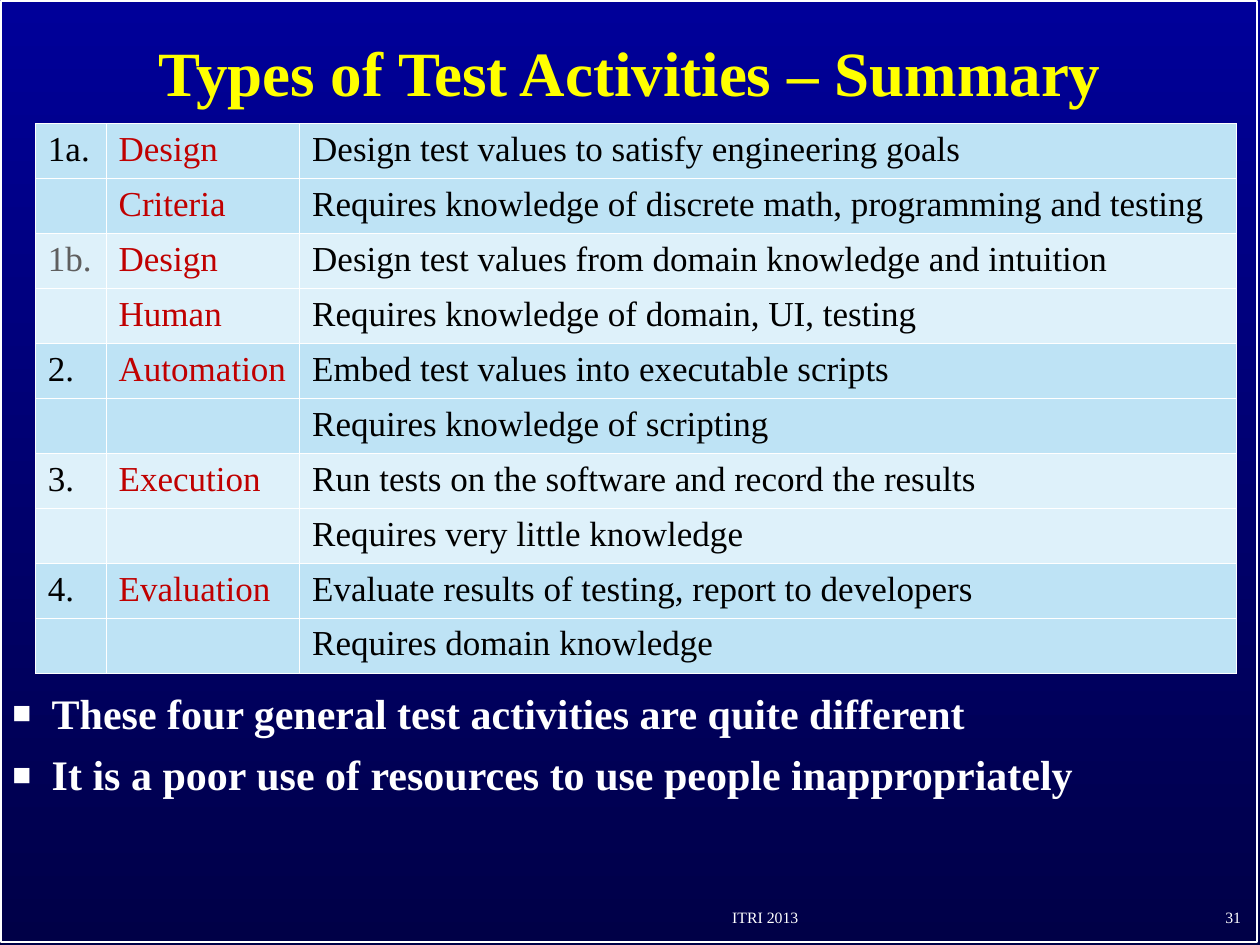
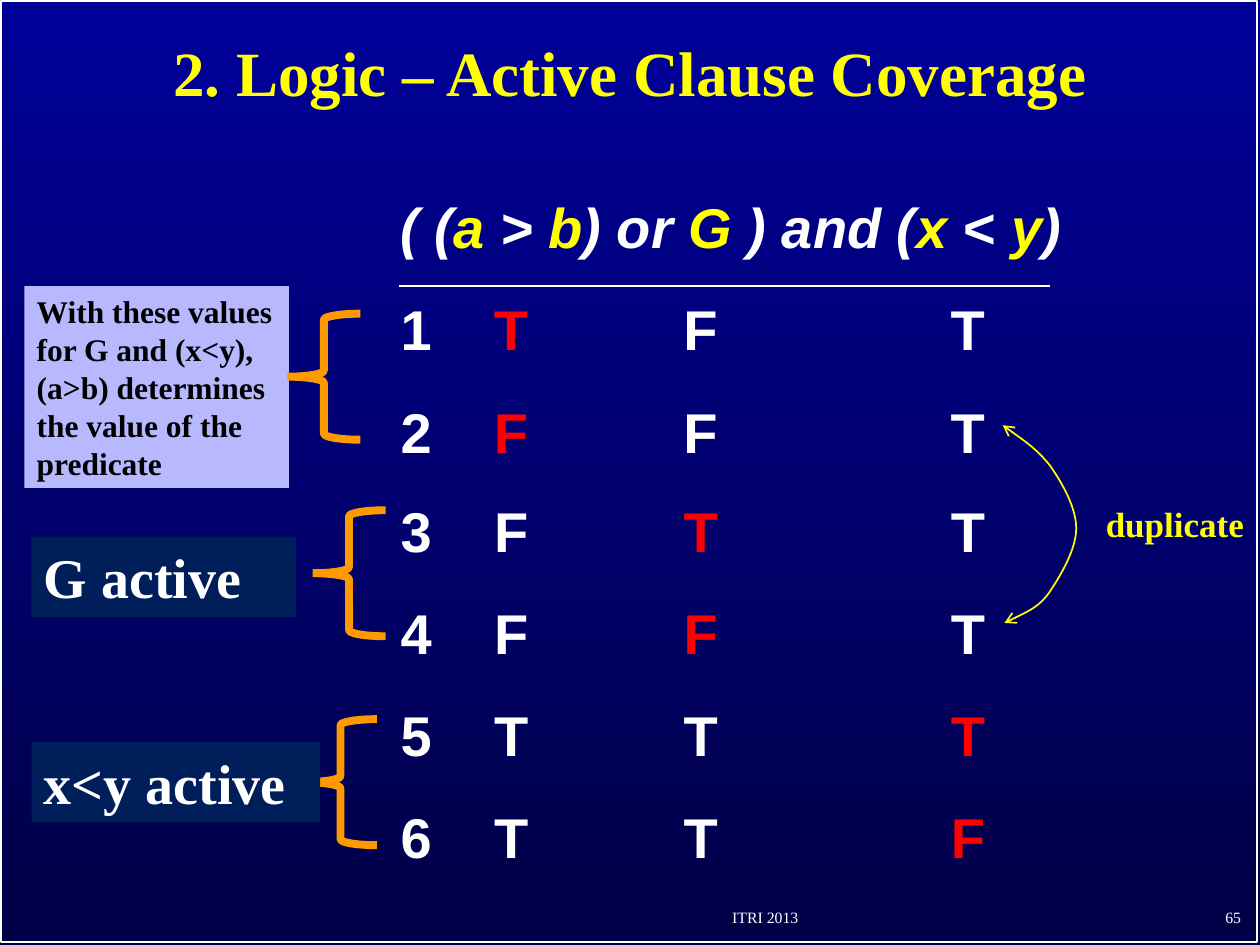
from lxml import etree
from pptx import Presentation
from pptx.dml.color import RGBColor as Rgb
from pptx.enum.shapes import MSO_CONNECTOR as Link, MSO_SHAPE as Kind
from pptx.enum.text import MSO_ANCHOR as Anchor, PP_ALIGN as Align
from pptx.oxml.ns import qn
from pptx.util import Pt

INK = {
    "top": "000099", "base": "000047", "white": "FFFFFF", "black": "000000",
    "yellow": "FFFF00", "arc": "FAFD00", "red": "FF0000", "brick": "C00000",
    "gray": "5F5F5F", "sky": "BEE3F5", "pale": "DEF1FA", "lilac": "B8B8FF",
    "navy": "001E5A", "orange": "FF9900",
}
SERIF, SANS = "Times New Roman", "Arial"


def tint(name):
    return Rgb.from_string(INK[name])


def node(parent, tag, **attrs):
    child = etree.SubElement(parent, qn(tag))
    for key, value in attrs.items():
        child.set(key, str(value))
    return child


def write(frame, text, size=20, ink="white", hot="red", font=SERIF, bold=True,
          italic=False, align=Align.LEFT, before=0, lead=None, tabs=(), bullet=None):
    """Add a paragraph; parts between asterisks take the hot colour."""
    para = frame.paragraphs[0]
    if para.runs:
        para = frame.add_paragraph()
        para.space_before = Pt(before)
    para.alignment = align
    if lead:
        para.line_spacing = lead
    props = para._p.get_or_add_pPr()
    if bullet:
        props.set("marL", str(Pt(22.5)))
        props.set("indent", str(-Pt(22.5)))
        node(node(props, "a:buClr"), "a:srgbClr", val=INK["white"])
        node(props, "a:buSzPct", val=75000)
        node(props, "a:buFont", typeface=SANS)
        node(props, "a:buChar", char=bullet)
    if tabs:
        stops = node(props, "a:tabLst")
        for stop in tabs:
            node(stops, "a:tab", pos=Pt(stop), algn="l")
    for index, part in enumerate(text.split("*")):
        if part:
            run = para.add_run()
            run.text = part
            face = run.font
            face.name, face.size, face.bold, face.italic = font, Pt(size), bold, italic
            face.color.rgb = tint(hot if index % 2 else ink)


class Deck:
    def __init__(self):
        self.prs = Presentation()
        self.prs.slide_width, self.prs.slide_height = Pt(720), Pt(540)
        self.slide = None

    def page(self, title, number):
        """Start a slide with its backdrop, frame, title and footers."""
        self.slide = self.prs.slides.add_slide(self.prs.slide_layouts[6])
        fill = self.slide.background.fill
        fill.gradient()
        fill.gradient_angle = 270
        for stop, name in zip(fill.gradient_stops, ("top", "base")):
            stop.color.rgb = tint(name)
        self.shape(Kind.RECTANGLE, 0.5, 0.5, 718, 538, line="white")
        self.text(title, 7, 7.5, 706, 72, anchor=Anchor.MIDDLE, size=36,
                  ink="yellow", align=Align.CENTER, lead=0.9)
        foot = dict(anchor=Anchor.BOTTOM, size=9, bold=False)
        self.text("ITRI 2013", 323.3, 512.5, 228, 20.5, align=Align.CENTER, **foot)
        self.text(str(number), 566.3, 512.5, 150, 20.5, align=Align.RIGHT, **foot)

    def shape(self, kind, x, y, w, h, fill=None, line=None, width=1):
        item = self.slide.shapes.add_shape(kind, Pt(x), Pt(y), Pt(w), Pt(h))
        self.paint(item, fill, line, width)
        return item

    def paint(self, item, fill=None, line=None, width=1):
        item.shadow.inherit = False
        for part, name in ((item.fill, fill), (item.line.fill, line)):
            if name:
                part.solid()
                part.fore_color.rgb = tint(name)
            else:
                part.background()
        if line:
            item.line.width = Pt(width)

    def text(self, lines, x, y, w, h, anchor=Anchor.TOP, fill=None, **style):
        """Place one paragraph or a list of them, on a filled box if asked."""
        if fill:
            item = self.shape(Kind.RECTANGLE, x, y, w, h, fill)
        else:
            item = self.slide.shapes.add_textbox(Pt(x), Pt(y), Pt(w), Pt(h))
        frame = item.text_frame
        frame.word_wrap = True
        frame.vertical_anchor = anchor
        for line in [lines] if isinstance(lines, str) else lines:
            write(frame, line, **style)
        return frame

    def table(self, rows, x, y, cols, height):
        """Each row is its cells' texts, their colours and a fill."""
        item = self.slide.shapes.add_table(len(rows), len(cols), Pt(x), Pt(y),
                                           Pt(sum(cols)), Pt(height * len(rows)))
        grid = item.table
        grid.first_row = grid.horz_banding = False
        for col, width in zip(grid.columns, cols):
            col.width = Pt(width)
        for row, (texts, inks, fill) in zip(grid.rows, rows):
            row.height = Pt(height)
            for cell, text, ink in zip(row.cells, texts, inks):
                if text:
                    write(cell.text_frame, text, ink=ink, bold=False)
                props = cell._tc.get_or_add_tcPr()
                for side in ("a:lnL", "a:lnR", "a:lnT", "a:lnB"):
                    edge = node(node(props, side, w=Pt(0.45)), "a:solidFill")
                    node(edge, "a:srgbClr", val=INK["white"])
                cell.fill.solid()
                cell.fill.fore_color.rgb = tint(fill)

    def rule(self, x1, y1, x2, y2, ink, width):
        line = self.slide.shapes.add_connector(Link.STRAIGHT, Pt(x1), Pt(y1), Pt(x2), Pt(y2))
        line.line.color.rgb = tint(ink)
        line.line.width = Pt(width)
        node(line._element.spPr, "a:effectLst")

    def brace(self, x, y):
        item = self.shape(Kind.LEFT_BRACE, x, y, 41.7, 72, line="orange", width=4.5)
        node(item.line._get_or_add_ln(), "a:bevel")

    def arc(self, start, points, ink):
        """Draw a curve with two arrowheads; each three points make one Bezier."""
        pen = self.slide.shapes.build_freeform(*start, scale=Pt(1))
        pen.add_line_segments(points, close=False)
        item = pen.convert_to_shape()
        self.paint(item, line=ink)
        route = item._element.spPr.find(".//" + qn("a:path"))
        steps = route.findall(qn("a:lnTo"))
        for first in range(0, len(steps), 3):
            curve = node(route, "a:cubicBezTo")
            for step in steps[first:first + 3]:
                curve.append(step[0])
                route.remove(step)
        stroke = item.line._get_or_add_ln()
        for end in ("a:headEnd", "a:tailEnd"):
            node(stroke, end, type="arrow")


def types(deck):
    deck.page("Types of Test Activities – Summary", 31)
    jobs = [
        ("1a.", "Design", "Criteria", "Design test values to satisfy engineering goals",
         "Requires knowledge of discrete math, programming and testing"),
        ("1b.", "Design", "Human", "Design test values from domain knowledge and intuition",
         "Requires knowledge of domain, UI, testing"),
        ("2.", "Automation", "", "Embed test values into executable scripts",
         "Requires knowledge of scripting"),
        ("3.", "Execution", "", "Run tests on the software and record the results",
         "Requires very little knowledge"),
        ("4.", "Evaluation", "", "Evaluate results of testing, report to developers",
         "Requires domain knowledge"),
    ]
    rows = []
    for mark, name, kind, task, need in jobs:
        inks = ("gray" if mark == "1b." else "black", "brick", "black")
        fill = "pale" if mark in ("1b.", "3.") else "sky"
        rows += [((mark, name, task), inks, fill), (("", kind, need), inks, fill)]
    deck.table(rows, 20.2, 70.7, (40.4, 110.6, 535.4), 31.43)
    deck.text(["These four general test activities are quite different",
               "It is a poor use of resources to use people inappropriately"],
              0, 392.4, 720, 93.6, size=24, lead=0.9, before=9, bullet="■")


def logic(deck):
    deck.page("2. Logic – Active Clause Coverage", 65)
    big = dict(size=32, font=SANS, before=20)
    cells = dict(big, tabs=(53.4, 161.7, 314.4))
    left = 221.8
    frame = deck.text("( (*a* > *b*) or *G* ) and (*x* < *y*)", left, 106.6, 396, 162.7,
                      hot="yellow", italic=True, **big)
    for row in ("1\t*T*\tF\tT", "2\t*F*\tF\tT"):
        write(frame, row, **cells)
    deck.rule(228.2, 163.4, 599.8, 163.4, "white", 1.5)
    deck.arc((573, 242.6), [(577, 246), (592.5, 256.5), (600, 266.5),
                            (607, 276.5), (615, 290), (615, 302),
                            (615, 314), (606.5, 329), (600, 338),
                            (593.5, 347), (579.5, 353), (574, 356.4)], "arc")
    deck.text("duplicate", 624.8, 283.7, 95.2, 31.7, ink="yellow")
    for top, rows in ((280, ("3\tF\t*T*\tT", "4\tF\t*F*\tT")),
                      (396.7, ("5\tT\tT\t*T*", "6\tT\tT\t*F*"))):
        deck.text(rows, left, top, 378, 104.4, **cells)
    deck.text("With these values for G and (x<y), (a>b) determines the value of the predicate",
              13.9, 163.6, 151.2, 115.2, fill="lilac", size=18, ink="black")
    for x, y in ((164.2, 179.3), (178.6, 291.6), (173.7, 411)):
        deck.brace(x, y)
    for name, top, width in (("G active", 306.7, 151.2), ("x<y active", 424, 165)):
        deck.text(name, 18, top, width, 46, fill="navy", size=32)


def main():
    deck = Deck()
    types(deck)
    logic(deck)
    deck.prs.save("out.pptx")


if __name__ == "__main__":
    main()
